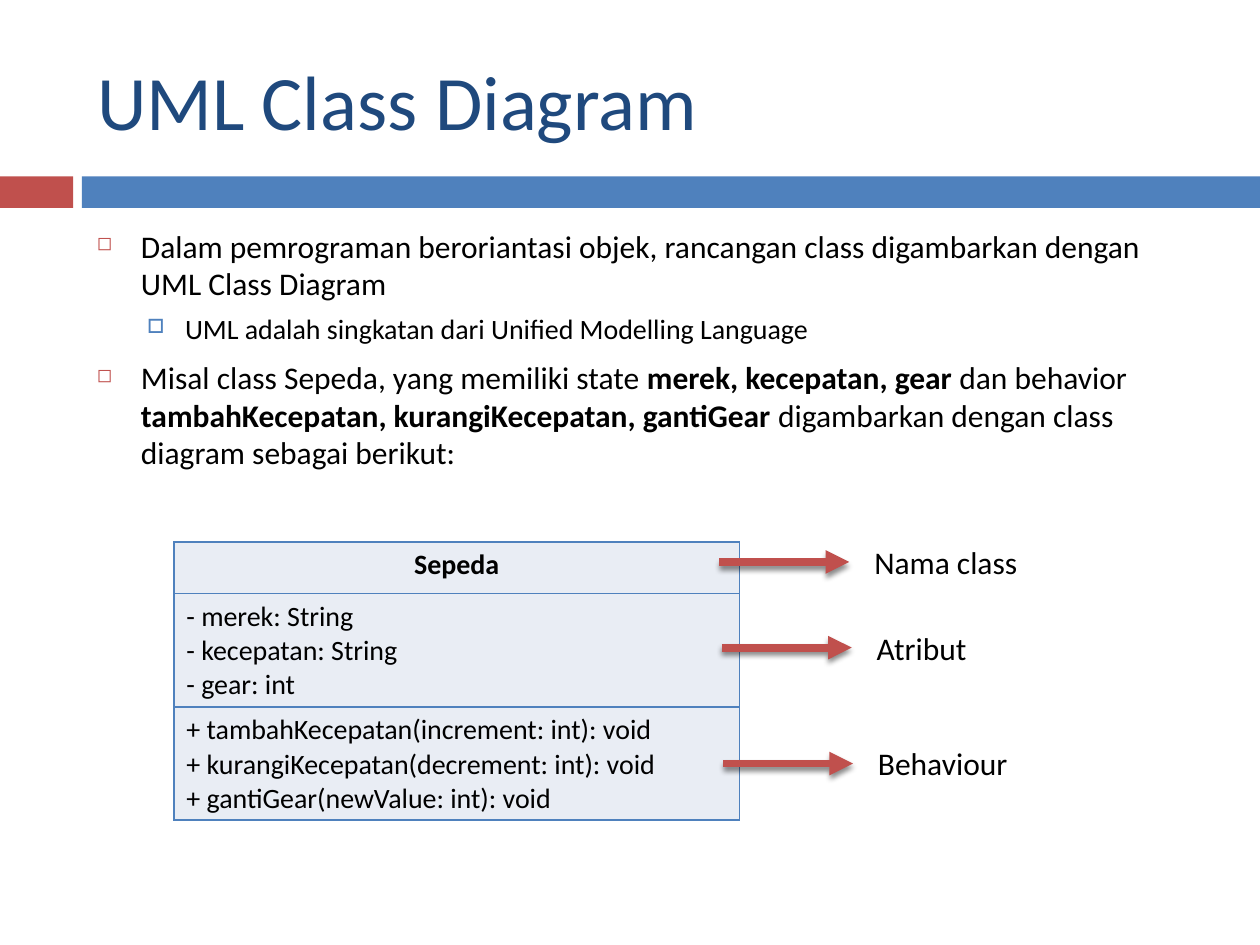
from lxml import etree
from pptx import Presentation
from pptx.dml.color import RGBColor
from pptx.enum.shapes import MSO_CONNECTOR, MSO_SHAPE
from pptx.enum.text import MSO_ANCHOR, MSO_AUTO_SIZE, PP_ALIGN
from pptx.oxml import parse_xml
from pptx.oxml.ns import qn
from pptx.util import Emu, Inches, Pt

RECT = MSO_SHAPE.RECTANGLE
STRAIGHT = MSO_CONNECTOR.STRAIGHT
MIDDLE = MSO_ANCHOR.MIDDLE
LEFT, CENTER = PP_ALIGN.LEFT, PP_ALIGN.CENTER
NO_FIT, GROW = MSO_AUTO_SIZE.NONE, MSO_AUTO_SIZE.SHAPE_TO_FIT_TEXT

W, H = 10, 7.5
MARGIN, CONTENT_W = 0.067 * W, 0.892 * W
BAND_TOP, BAND_H = 1.4, 0.25
FONT = "Calibri"
NS = 'xmlns:a="http://schemas.openxmlformats.org/drawingml/2006/main"'
COLORS = {"red": "C0504D", "blue": "4F81BD", "navy": "1F497D",
          "pale": "E9EDF4", "black": "000000"}

LEVELS = [
    {"size": 18, "left": 0.35, "hang": 0.35, "before": 7,
     "bullet": "◻", "color": "red", "scale": 60},
    {"size": 16, "left": 0.7, "hang": 0.3, "before": 5.5,
     "bullet": "□", "color": "blue", "scale": 70},
]
POINTS = [
    (0, [("Dalam pemrograman beroriantasi objek, rancangan class "
          "digambarkan dengan UML Class Diagram", False)]),
    (1, [("UML adalah singkatan dari Unified Modelling Language", False)]),
    (0, [("Misal class Sepeda, yang memiliki state ", False),
         ("merek, kecepatan, gear ", True),
         ("dan behavior ", False),
         ("tambahKecepatan, kurangiKecepatan, gantiGear ", True),
         ("digambarkan dengan class diagram sebagai berikut:", False)]),
]
CLASS_ROWS = [
    (0.41, ["Sepeda"]),
    (0.9, ["- merek: String", "- kecepatan: String", "- gear: int"]),
    (0.9, ["+ tambahKecepatan(increment: int): void",
           "+ kurangiKecepatan(decrement: int): void",
           "+ gantiGear(newValue: int): void"]),
]
CALLOUTS = [("Nama class", 5.71, 4.46, 1.35),
            ("Atribut", 5.73, 5.14, 0.92),
            ("Behaviour", 5.74, 6.06, 1.24)]


def rgb(name):
    return RGBColor.from_string(COLORS[name])


def style(run, size, color="black", bold=False):
    run.font.name = FONT
    run.font.size = Pt(size)
    run.font.bold = bold
    run.font.color.rgb = rgb(color)


def add_band(s, left, width, color):
    band = s.shapes.add_shape(RECT, Inches(left), Inches(BAND_TOP),
                              Inches(width), Inches(BAND_H))
    band.shadow.inherit = False
    band.fill.solid()
    band.fill.fore_color.rgb = rgb(color)
    band.line.fill.background()


def set_title(s, text):
    title = s.shapes.title
    title.left, title.top = Inches(MARGIN), Inches(0.25)
    title.width, title.height = Inches(CONTENT_W), Inches(1.08)
    tf = title.text_frame
    tf.text = text
    tf.auto_size = NO_FIT
    tf.vertical_anchor = MIDDLE
    tf.paragraphs[0].alignment = LEFT
    style(tf.paragraphs[0].runs[0], 44, "navy")


def set_bullet(p, level):
    pPr = p._p.get_or_add_pPr()
    pPr.set("marL", str(Inches(level["left"])))
    pPr.set("indent", str(-Inches(level["hang"])))
    color = etree.SubElement(pPr, qn("a:buClr"))
    etree.SubElement(color, qn("a:srgbClr"), val=COLORS[level["color"]])
    etree.SubElement(pPr, qn("a:buSzPct"), val=str(level["scale"] * 1000))
    etree.SubElement(pPr, qn("a:buChar"), char=level["bullet"])


def add_points(s, points):
    box = s.shapes.add_textbox(Inches(MARGIN), Inches(1.75),
                               Inches(CONTENT_W), Inches(2.3))
    tf = box.text_frame
    tf.word_wrap = True
    for i, (depth, parts) in enumerate(points):
        p = tf.add_paragraph() if i else tf.paragraphs[0]
        level = LEVELS[depth]
        p.level = depth
        set_bullet(p, level)
        if i:
            p.space_before = Pt(level["before"])
        for text, bold in parts:
            r = p.add_run()
            r.text = text
            style(r, level["size"], bold=bold)


def set_borders(cell):
    tcPr = cell._tc.get_or_add_tcPr()
    for i, side in enumerate(("lnL", "lnR", "lnT", "lnB")):
        tcPr.insert(i, parse_xml(
            f'<a:{side} {NS} w="{Pt(1)}"><a:solidFill>'
            f'<a:srgbClr val="{COLORS["blue"]}"/></a:solidFill></a:{side}>'))


def add_class_table(s, rows):
    height = sum(h for h, _ in rows)
    table = s.shapes.add_table(len(rows), 1, Inches(1.38), Inches(4.3),
                               Inches(4.49), Inches(height)).table
    table.horz_banding = False
    for i, (row_h, lines) in enumerate(rows):
        table.rows[i].height = Inches(row_h)
        cell = table.cell(i, 0)
        cell.fill.solid()
        cell.fill.fore_color.rgb = rgb("pale")
        set_borders(cell)
        cell.text_frame.text = "\n".join(lines)
        for p in cell.text_frame.paragraphs:
            p.alignment = LEFT if i else CENTER
            style(p.runs[0], 16, bold=i == 0)


def add_arrow(s, left, y, length):
    arrow = s.shapes.add_connector(STRAIGHT, Inches(left), Inches(y),
                                   Inches(left + length), Inches(y))
    arrow.line.width = Pt(4.5)
    arrow.line.color.rgb = rgb("red")
    etree.SubElement(arrow.line._get_or_add_ln(), qn("a:tailEnd"),
                     type="triangle")
    arrow._element.spPr.append(parse_xml(
        f'<a:effectLst {NS}><a:outerShdw blurRad="{Pt(3)}" '
        f'dist="{Emu(Pt(2.4))}" dir="5400000" rotWithShape="0">'
        f'<a:srgbClr val="{COLORS["black"]}"><a:alpha val="45000"/>'
        '</a:srgbClr></a:outerShdw></a:effectLst>'))


def add_callout(s, text, left, y, width):
    add_arrow(s, left, y, 1.03)
    box = s.shapes.add_textbox(Inches(left + 1.13), Inches(y - 0.2),
                               Inches(width), Inches(0.4))
    tf = box.text_frame
    tf.word_wrap = False
    tf.auto_size = GROW
    tf.text = text
    style(tf.paragraphs[0].runs[0], 18)


def main():
    prs = Presentation()
    prs.slide_width, prs.slide_height = Inches(W), Inches(H)
    s = prs.slides.add_slide(prs.slide_layouts[5])
    add_band(s, 0, 0.058 * W, "red")
    add_band(s, 0.065 * W, 0.935 * W, "blue")
    set_title(s, "UML Class Diagram")
    add_points(s, POINTS)
    add_class_table(s, CLASS_ROWS)
    for callout in CALLOUTS:
        add_callout(s, *callout)
    prs.save("out.pptx")


if __name__ == "__main__":
    main()
